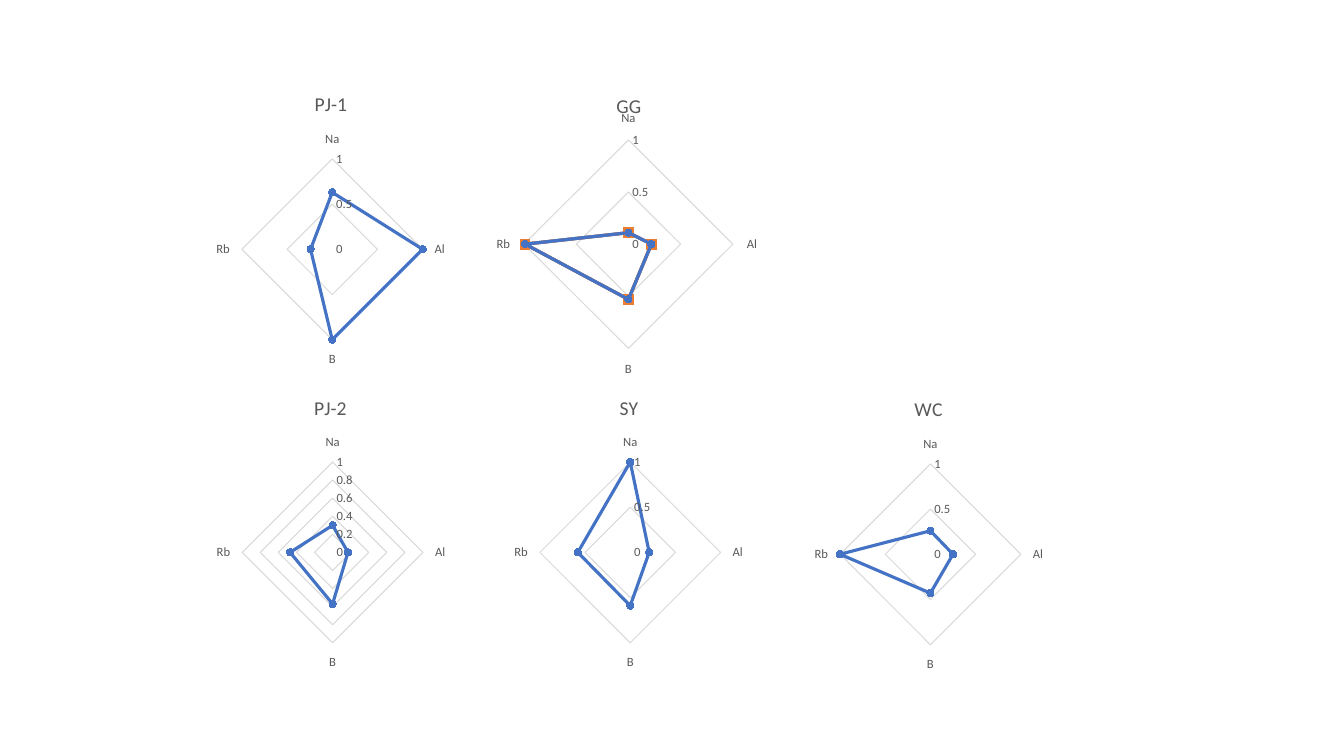
from pptx import Presentation
from pptx.chart.data import CategoryChartData as ChartData
from pptx.dml.color import RGBColor
from pptx.enum.chart import XL_CHART_TYPE as ChartType
from pptx.enum.chart import XL_MARKER_STYLE as Marker
from pptx.enum.chart import XL_TICK_MARK as Tick
from pptx.oxml import parse_xml
from pptx.util import Emu, Pt

BLUE = RGBColor(0x44, 0x72, 0xC4)
ORANGE = RGBColor(0xED, 0x7D, 0x31)
GREY = RGBColor(0xA5, 0xA5, 0xA5)
LABEL = RGBColor(0x59, 0x59, 0x59)
GRID = RGBColor(0xD9, 0xD9, 0xD9)
BLACK = RGBColor(0, 0, 0)

ELEMENTS = ("Na", "Al", "B", "Rb")
CHART_NS = "http://schemas.openxmlformats.org/drawingml/2006/chart"
DRAWING_NS = "http://schemas.openxmlformats.org/drawingml/2006/main"

SITES = [
    ("GG", (464, 77, 330, 300), (524, 140, 209), 0.5,
     (0.11, 0.22, 0.53, 0.99), (GREY, BLUE, ORANGE, BLUE)),
    ("PJ-1", (166, 75, 330, 302), (242, 159, 181), 0.5,
     (0.63, 1, 1, 0.24), (BLUE,)),
    ("PJ-2", (165, 379, 331, 302), (242, 462, 181), 0.2,
     (0.3, 0.17, 0.57, 0.47), (BLUE,)),
    ("SY", (464, 379, 330, 302), (540, 462, 181), 0.5,
     (1, 0.21, 0.59, 0.58), (BLUE,)),
    ("WC", (776, 380, 305, 302), (840, 464, 181), 0.5,
     (0.26, 0.25, 0.43, 1), (BLUE,)),
]


class RadarSlide:
    font_name = "Calibri"
    scale = 914400 / 100.8

    def __init__(self, width, height):
        self.deck = Presentation()
        self.deck.slide_width = self.px(width)
        self.deck.slide_height = self.px(height)
        self.slide = self.deck.slides.add_slide(self.deck.slide_layouts[6])

    def px(self, length):
        return Emu(round(length * self.scale))

    def style_font(self, font, size, color):
        font.name = self.font_name
        font.size = Pt(size)
        font.bold = False
        font.color.rgb = color

    def radar(self, site, frame, diamond, step, shares, colors):
        data = ChartData()
        data.categories = ELEMENTS
        for number in range(1, len(colors) + 1):
            data.add_series(f"Series {number}", shares)
        chart = self.slide.shapes.add_chart(
            ChartType.RADAR_MARKERS, *map(self.px, frame), data).chart
        chart.has_legend = False
        self.style_font(chart.font, 10, BLACK)
        self.title(chart, site)
        self.axes(chart, step)
        for series, color in zip(chart.plots[0].series, colors):
            self.series(series, color)
        self.place_plot(chart, frame, diamond)
        self.background(chart)

    def title(self, chart, site):
        heading = chart.chart_title
        heading.text_frame.text = site
        heading.include_in_layout = False
        for run in heading.text_frame.paragraphs[0].runs:
            self.style_font(run.font, 14, LABEL)

    def axes(self, chart, step):
        elements, share = chart.category_axis, chart.value_axis
        for axis in (elements, share):
            axis.major_tick_mark = axis.minor_tick_mark = Tick.NONE
            self.style_font(axis.tick_labels.font, 9, LABEL)
        elements.has_major_gridlines = False
        share.has_major_gridlines = True
        for line in (elements.format.line, share.major_gridlines.format.line):
            line.color.rgb = GRID
            line.width = Pt(0.75)
        share.format.line.fill.background()
        share.minimum_scale, share.maximum_scale = 0, 1
        share.major_unit = step
        share.tick_labels.number_format = "General"
        share.tick_labels.number_format_is_linked = False

    def series(self, series, color):
        series.smooth = False
        series.format.line.color.rgb = color
        series.format.line.width = Pt(2.25)
        series.marker.style = Marker.CIRCLE if color == BLUE else Marker.SQUARE
        series.marker.size = 5 if color == BLUE else 7
        series.marker.format.fill.solid()
        series.marker.format.fill.fore_color.rgb = color
        series.marker.format.line.color.rgb = color

    def place_plot(self, chart, frame, diamond):
        left, top, width, height = frame
        x, y, side = diamond
        shares = {"x": (x - left) / width, "y": (y - top) / height,
                  "w": side / width, "h": side / height}
        places = "".join(f'<c:{key}  val="{share:.3f}"/>'
                         for key, share in shares.items())
        plot_area = chart.plots[0]._element.getparent()
        for layout in plot_area.findall(f"{{{CHART_NS}}}layout"):
            plot_area.remove(layout)
        plot_area.insert(0, parse_xml(
            f'<c:layout xmlns:c="{CHART_NS}"><c:manualLayout>'
            '<c:layoutTarget val="inner"/>'
            '<c:xMode val="edge"/><c:yMode val="edge"/>'
            f'{places}</c:manualLayout></c:layout>'))

    def background(self, chart):
        body = chart.plots[0]._element.getparent().getparent()
        body.addnext(parse_xml(
            f'<c:spPr xmlns:c="{CHART_NS}" xmlns:a="{DRAWING_NS}">'
            '<a:solidFill><a:srgbClr val="FFFFFF"/></a:solidFill>'
            '<a:ln><a:noFill/></a:ln></c:spPr>'))


def main():
    page = RadarSlide(1344, 756)
    for site in SITES:
        page.radar(*site)
    page.deck.save("out.pptx")


if __name__ == "__main__":
    main()
